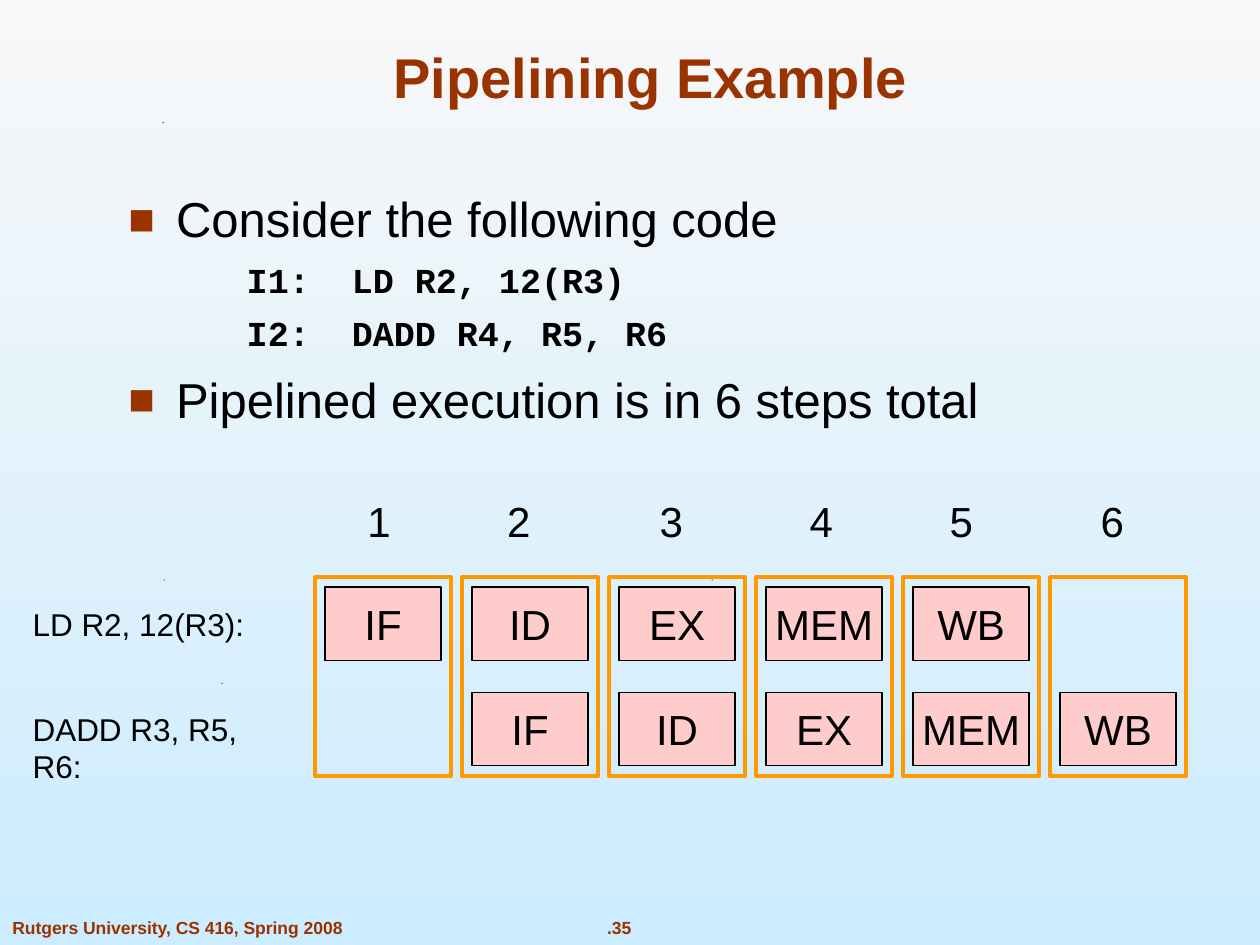
from lxml.etree import SubElement
from pptx import Presentation
from pptx.dml.color import RGBColor
from pptx.enum.shapes import MSO_SHAPE
from pptx.enum.text import MSO_ANCHOR, PP_ALIGN
from pptx.oxml.ns import qn
from pptx.util import Inches, Pt

COLORS = {"rust": "993300", "black": "000000", "pink": "FFCCCC",
          "orange": "FF9900", "sky_top": "F8F8F8", "sky_bottom": "CCECFF"}

TITLE = "Pipelining Example"
FOOTER = "Rutgers University, CS 416, Spring 2008"
PAGE = ".35"
BODY = [("bullet", "Consider the following code"),
        ("code", "I1:  LD R2, 12(R3)"),
        ("code", "I2:  DADD R4, R5, R6"),
        ("bullet", "Pipelined execution is in 6 steps total")]
STAGES = ["IF", "ID", "EX", "MEM", "WB"]
INSTRUCTIONS = ["LD R2, 12(R3):", "DADD R3, R5, R6:"]
STEP_TABS = [0.27, 1.38, 2.59, 3.78, 4.89, 6.09]
SPECKS = [(1.76, 5.42), (1.3, 4.6), (5.65, 4.6), (1.29, 0.97)]

GRID_LEFT, GRID_TOP = 2.5, 4.58
COLUMN_PITCH, ROW_PITCH = 7 / 6, 5 / 6
FRAME_W, FRAME_H = 1.08, 1.58
STAGE_W, STAGE_H, STAGE_INSET = 0.92, 0.58, 0.08


def rgb(name):
    return RGBColor.from_string(COLORS[name])


def add_run(p, text, size, color="black", bold=False, font="Arial"):
    r = p.add_run()
    r.text = text
    r.font.name, r.font.size, r.font.bold = font, Pt(size), bold
    r.font.color.rgb = rgb(color)


def add_box(s, x, y, w, h, wrap=False):
    tf = s.shapes.add_textbox(Inches(x), Inches(y), Inches(w), Inches(h)).text_frame
    tf.word_wrap = wrap
    return tf


def add_label(s, x, y, w, h, text, size, color="black", bold=False, align=PP_ALIGN.LEFT):
    tf = add_box(s, x, y, w, h)
    p = tf.paragraphs[0]
    p.alignment = align
    add_run(p, text, size, color, bold)
    return tf


def add_rect(s, x, y, w, h, line, width, fill=None):
    sp = s.shapes.add_shape(MSO_SHAPE.RECTANGLE, Inches(x), Inches(y), Inches(w), Inches(h))
    sp.shadow.inherit = False
    if fill:
        sp.fill.solid()
        sp.fill.fore_color.rgb = rgb(fill)
    else:
        sp.fill.background()
    sp.line.color.rgb = rgb(line)
    sp.line.width = Pt(width)
    return sp


def add_body(s):
    tf = add_box(s, 0.92, 1.5, 8.83, 2.42, wrap=True)
    for i, (kind, text) in enumerate(BODY):
        p = tf.add_paragraph() if i else tf.paragraphs[0]
        p.line_spacing = 0.9
        if i:
            p.space_before = Pt(12.2 if kind == "bullet" else 8.8)
        pPr = p._p.get_or_add_pPr()
        if kind == "bullet":
            pPr.set("marL", str(Inches(0.38)))
            pPr.set("indent", str(Inches(-0.38)))
            clr = SubElement(pPr, qn("a:buClr"))
            SubElement(clr, qn("a:srgbClr"), val=COLORS["rust"])
            SubElement(pPr, qn("a:buSzPct"), val="90000")
            SubElement(pPr, qn("a:buFont"), typeface="Arial")
            SubElement(pPr, qn("a:buChar"), char="■")
            add_run(p, text, 28)
        else:
            p.level = 1
            pPr.set("marL", str(Inches(1.19)))
            pPr.set("indent", str(Inches(-0.25)))
            SubElement(pPr, qn("a:buNone"))
            add_run(p, text, 20, bold=True, font="Courier New")


def add_step_numbers(s):
    p = add_box(s, 2.64, 3.88, 6.8, 0.5, wrap=True).paragraphs[0]
    tabs = SubElement(p._p.get_or_add_pPr(), qn("a:tabLst"))
    for pos in STEP_TABS:
        SubElement(tabs, qn("a:tab"), pos=str(Inches(pos)), algn="ctr")
    add_run(p, "".join(f"\t{n}" for n in range(1, len(STEP_TABS) + 1)), 24)


def add_pipeline(s):
    for row, instruction in enumerate(INSTRUCTIONS):
        y = GRID_TOP + STAGE_INSET + row * ROW_PITCH
        add_label(s, 0.16, y + 0.09, 2.28, 0.4, instruction, 18)
        for col, stage in enumerate(STAGES, start=row):
            x = GRID_LEFT + STAGE_INSET + col * COLUMN_PITCH
            sp = add_rect(s, x, y, STAGE_W, STAGE_H, "black", 0.75, "pink")
            tf = sp.text_frame
            tf.word_wrap = False
            tf.vertical_anchor = MSO_ANCHOR.MIDDLE
            p = tf.paragraphs[0]
            p.alignment = PP_ALIGN.CENTER
            add_run(p, stage, 24)
    add_step_numbers(s)
    for col in range(len(STEP_TABS)):
        add_rect(s, GRID_LEFT + col * COLUMN_PITCH, GRID_TOP, FRAME_W, FRAME_H, "orange", 2.25)


def add_specks(s):
    for x, y in SPECKS:
        fb = s.shapes.build_freeform(Inches(x), Inches(y + 0.01))
        fb.add_line_segments([(Inches(x + 0.01), Inches(y)), (Inches(x), Inches(y))])
        sp = fb.convert_to_shape()
        sp.shadow.inherit = False
        sp.fill.solid()
        sp.fill.fore_color.rgb = rgb("black")
        sp.line.fill.background()


def set_background(s):
    fill = s.background.fill
    fill.gradient()
    fill.gradient_angle = 270
    for stop, name in zip(fill.gradient_stops, ("sky_top", "sky_bottom")):
        stop.color.rgb = rgb(name)


def main():
    prs = Presentation()
    prs.slide_width, prs.slide_height = Inches(10), Inches(7.5)
    s = prs.slides.add_slide(prs.slide_layouts[6])
    set_background(s)
    add_label(s, 4.46, 7.23, 0.91, 0.27, PAGE, 10, "rust", True, PP_ALIGN.CENTER)
    add_specks(s)
    add_label(s, 0, 7.23, 2.83, 0.27, FOOTER, 10, "rust", True)
    title = add_label(s, 0.75, 0.25, 8.83, 0.67, TITLE, 32, "rust", True, PP_ALIGN.CENTER)
    title.word_wrap = True
    title.vertical_anchor = MSO_ANCHOR.BOTTOM
    add_body(s)
    add_pipeline(s)
    prs.save("out.pptx")


if __name__ == "__main__":
    main()
